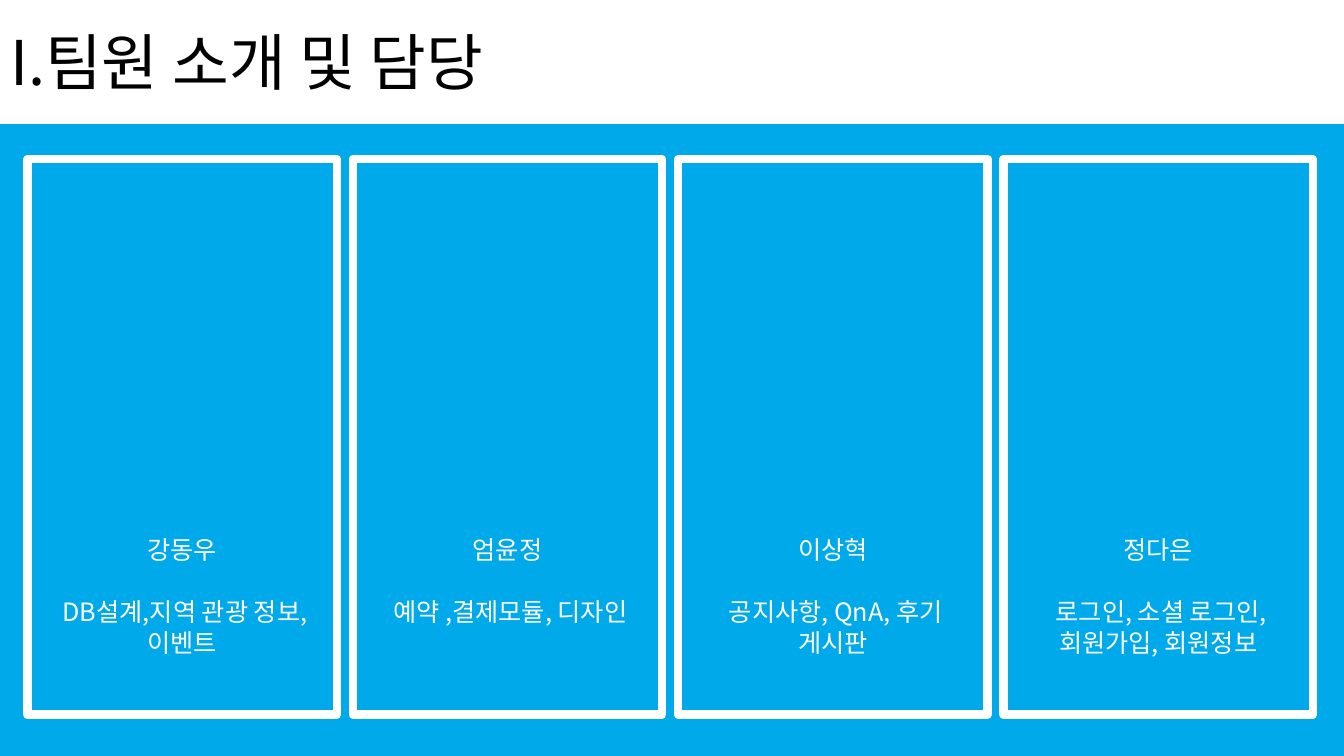
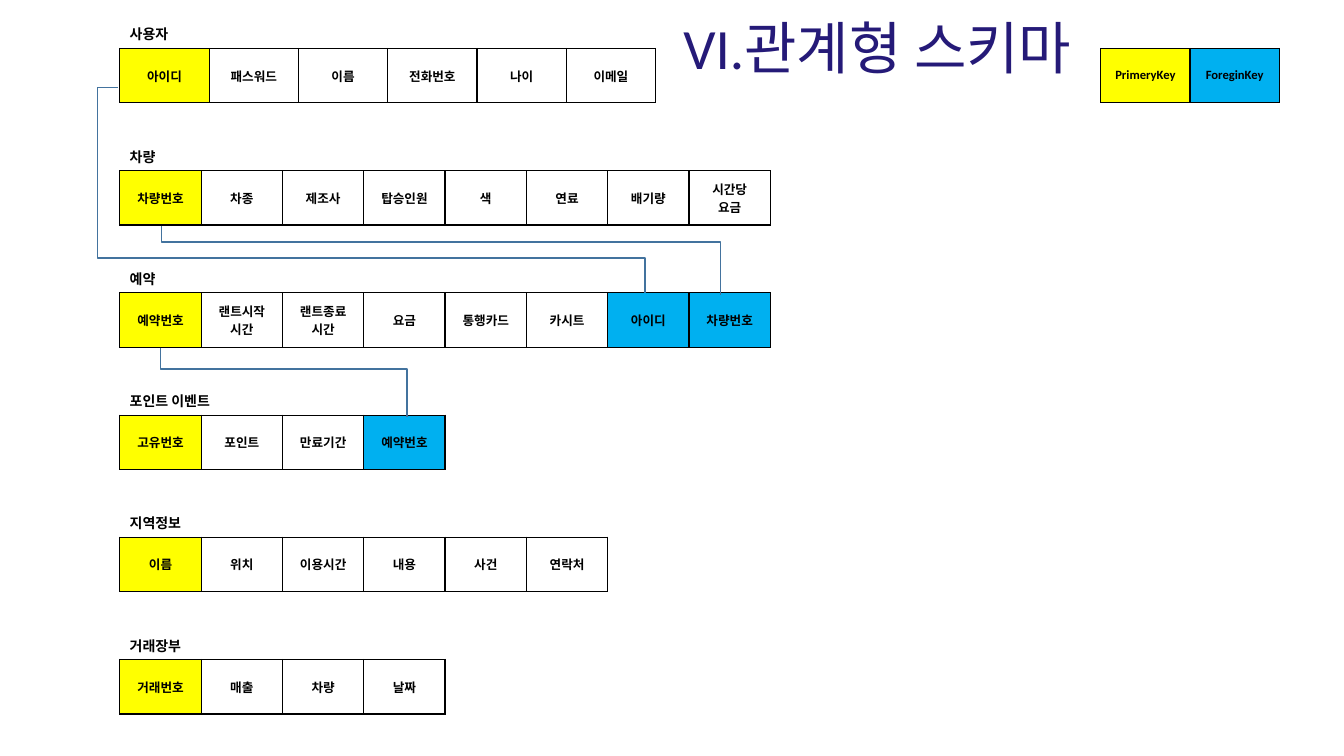
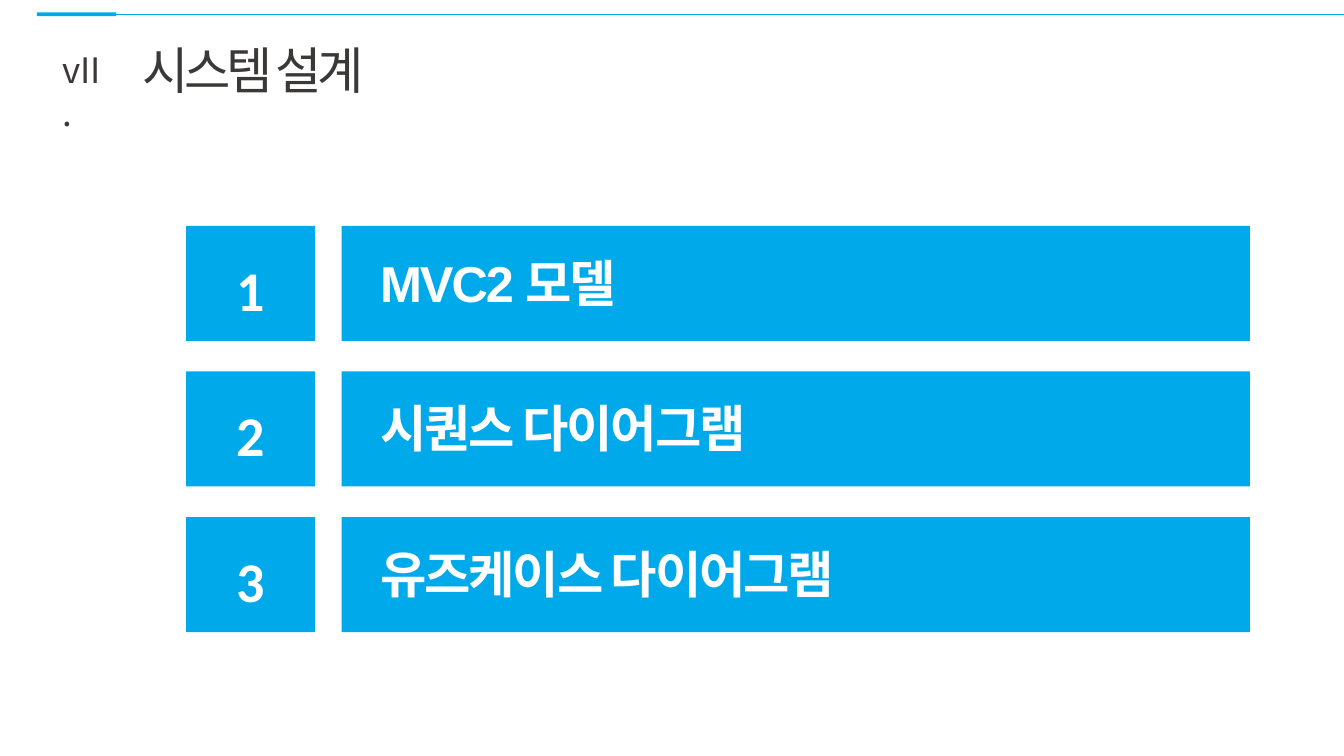
from lxml import etree
from pptx import Presentation
from pptx.dml.color import RGBColor
from pptx.enum import shapes, text
from pptx.oxml import ns
from pptx.util import Cm, Pt

# Shared style
BLUE = RGBColor(0x00, 0xA9, 0xEA)
WHITE = RGBColor(0xFF, 0xFF, 0xFF)
BLACK = RGBColor(0x00, 0x00, 0x00)
PRIMARY = RGBColor(0xFF, 0xFF, 0x00)
FOREIGN = RGBColor(0x00, 0xB0, 0xF0)
LINK = RGBColor(0x43, 0x73, 0x9E)
NAVY = RGBColor(0x25, 0x1A, 0x78)
GRAY = RGBColor(0x3B, 0x38, 0x38)
KOREAN = "Noto Sans CJK KR"
LATIN = "Calibri"
LEFT, CENTER = text.PP_ALIGN.LEFT, text.PP_ALIGN.CENTER
TOP, MIDDLE = text.MSO_ANCHOR.TOP, text.MSO_ANCHOR.MIDDLE

# Content
MEMBERS = [
    ("강동우", " DB설계,지역 관광 정보, 이벤트"),
    ("엄윤정", " 예약 ,결제모듈, 디자인"),
    ("이상혁", " 공지사항, QnA, 후기 게시판"),
    ("정다은", " 로그인, 소셜 로그인, 회원가입, 회원정보"),
]

# Relation name, column width in cm, columns, number of foreign keys at the end
RELATIONS = [
    ("사용자", 2.25, ["아이디", "패스워드", "이름", "전화번호", "나이", "이메일"], 0),
    ("차량", 2.05, ["차량번호", "차종", "제조사", "탑승인원", "색", "연료", "배기량",
                  "시간당\n요금"], 0),
    ("예약", 2.05, ["예약번호", "랜트시작\n시간", "랜트종료\n시간", "요금", "통행카드",
                  "카시트", "아이디", "차량번호"], 2),
    ("포인트 이벤트", 2.05, ["고유번호", "포인트", "만료기간", "예약번호"], 1),
    ("지역정보", 2.05, ["이름", "위치", "이용시간", "내용", "사건", "연락처"], 0),
    ("거래장부", 2.05, ["거래번호", "매출", "차량", "날짜"], 0),
]
LEGEND = ["PrimeryKey", "ForeginKey"]

# Corner points in cm of the lines from primary to foreign keys
KEY_LINKS = [
    [(2.97, 2.21), (2.46, 2.21), (2.46, 6.5), (16.26, 6.5), (16.26, 7.39)],
    [(4.07, 5.69), (4.07, 6.1), (18.16, 6.1), (18.16, 7.44)],
    [(4.04, 8.76), (4.04, 9.3), (10.26, 9.3), (10.26, 10.52)],
]

DESIGN_TOPICS = ["MVC2 모델", "시퀀스 다이어그램", "유즈케이스 다이어그램"]


def add_run(paragraph, words, size, color, font=KOREAN, bold=False, tracking=0):
    run = paragraph.add_run()
    run.text = words
    run.font.size, run.font.bold, run.font.name = Pt(size), bold, font
    run.font.color.rgb = color
    properties = run._r.get_or_add_rPr()
    if tracking:
        properties.set("spc", str(int(tracking * 100)))
    east_asian = etree.Element(ns.qn("a:ea"), typeface=KOREAN)
    properties.find(ns.qn("a:latin")).addnext(east_asian)


def write(frame, lines, size, color, align=LEFT, anchor=TOP, spacing=None,
          gap=0, wrap=True, **style):
    """Fill a text frame with one paragraph per line."""
    frame.word_wrap = wrap
    frame.auto_size = text.MSO_AUTO_SIZE.NONE
    frame.vertical_anchor = anchor
    for index, line in enumerate(lines):
        paragraph = frame.add_paragraph() if index else frame.paragraphs[0]
        paragraph.alignment = align
        paragraph.space_before = Pt(gap if index else 0)
        if spacing:
            paragraph.line_spacing = Pt(spacing)
        add_run(paragraph, line, size, color, **style)


def place(shape, left, top, width, height):
    shape.left, shape.top = Cm(left), Cm(top)
    shape.width, shape.height = Cm(width), Cm(height)


def set_margins(frame, left, top, right, bottom):
    frame.margin_left, frame.margin_top = Cm(left), Cm(top)
    frame.margin_right, frame.margin_bottom = Cm(right), Cm(bottom)


def add_slide(presentation, background, title, box, size, color, **style):
    slide = presentation.slides.add_slide(presentation.slide_layouts[5])
    slide.background.fill.solid()
    slide.background.fill.fore_color.rgb = background
    place(slide.shapes.title, *box)
    write(slide.shapes.title.text_frame, [title], size, color, **style)
    return slide


def add_box(slide, left, top, width, height, fill=None, line=None, weight=0):
    shape = slide.shapes.add_shape(shapes.MSO_SHAPE.RECTANGLE, Cm(left), Cm(top),
                                   Cm(width), Cm(height))
    shape.shadow.inherit = False
    if fill is None:
        shape.fill.background()
    else:
        shape.fill.solid()
        shape.fill.fore_color.rgb = fill
    if line is None:
        shape.line.fill.background()
    else:
        shape.line.color.rgb = line
        shape.line.width = Pt(weight)
    return shape


def add_label(slide, words, left, top, width, height, size, color, **style):
    label = slide.shapes.add_textbox(Cm(left), Cm(top), Cm(width), Cm(height))
    write(label.text_frame, [words], size, color, **style)


def set_borders(cell):
    properties = cell._tc.get_or_add_tcPr()
    for index, side in enumerate(("lnL", "lnR", "lnT", "lnB")):
        border = etree.Element(ns.qn(f"a:{side}"), w=str(Pt(1)))
        fill = etree.SubElement(border, ns.qn("a:solidFill"))
        etree.SubElement(fill, ns.qn("a:srgbClr"), val=str(BLACK))
        properties.insert(index, border)


def add_relation(slide, columns, foreign_count, left, top, column_width):
    count = len(columns)
    table = slide.shapes.add_table(1, count, Cm(left), Cm(top),
                                   Cm(column_width * count), Cm(1.37)).table
    table.first_row = table.horz_banding = False
    for index, name in enumerate(columns):
        table.columns[index].width = Cm(column_width)
        cell = table.cell(0, index)
        cell.fill.solid()
        if index == 0:
            cell.fill.fore_color.rgb = PRIMARY
        else:
            is_foreign = index >= count - foreign_count
            cell.fill.fore_color.rgb = FOREIGN if is_foreign else WHITE
        cell.vertical_anchor = MIDDLE
        for number, line in enumerate(name.split("\n")):
            frame = cell.text_frame
            paragraph = frame.add_paragraph() if number else frame.paragraphs[0]
            paragraph.alignment = CENTER
            add_run(paragraph, line, 9, BLACK, font=LATIN, bold=True)
        set_borders(cell)


def build_team(presentation):
    slide = add_slide(presentation, BLUE, "I.팀원 소개 및 담당", (0, 0, 33.87, 3.12),
                      44, BLACK, anchor=MIDDLE, spacing=52)
    title = slide.shapes.title
    title.fill.solid()
    title.fill.fore_color.rgb = WHITE

    # One card per member
    for index, member in enumerate(MEMBERS):
        card = add_box(slide, 0.69 + 8.2 * index, 4.01, 7.8, 14, line=WHITE, weight=6)
        set_margins(card.text_frame, 0.5, 9.45, 0.5, 0.13)
        write(card.text_frame, member, 18, WHITE, align=CENTER, spacing=22, gap=22)


def build_schema(presentation):
    slide = add_slide(presentation, WHITE, "VI.관계형 스키마", (11.3, 0.23, 21.62, 1.88),
                      40.7, NAVY, align=CENTER, anchor=MIDDLE, font=LATIN)
    # Relations, evenly spaced, each under its name
    first_top, pitch, left = 1.22, 3.08, 3.02
    for index, (name, column_width, columns, foreign_count) in enumerate(RELATIONS):
        top = first_top + pitch * index
        add_label(slide, name, left, top - 0.69, 3.84, 0.69, 10, BLACK,
                  font=LATIN, bold=True)
        add_relation(slide, columns, foreign_count, left, top, column_width)
    add_relation(slide, LEGEND, 1, 27.74, first_top, 2.25)

    # Key links
    for points in KEY_LINKS:
        corners = [(Cm(x), Cm(y)) for x, y in points]
        builder = slide.shapes.build_freeform(*corners[0])
        builder.add_line_segments(corners[1:], close=False)
        link = builder.convert_to_shape()
        link.shadow.inherit = False
        link.fill.background()
        link.line.color.rgb = LINK
        link.line.width = Pt(1)


def build_design(presentation):
    slide = add_slide(presentation, WHITE, "시스템 설계", (3.33, 0.84, 6.73, 1.8),
                      36, GRAY, spacing=44, wrap=False, tracking=-3)
    add_label(slide, "vII.", 1.32, 1.09, 1.6, 1.32, 25, GRAY, spacing=30.5)

    # Header rule
    accent = add_box(slide, 0.93, 0.31, 2, 0.1, fill=BLUE)
    rule = slide.shapes.add_connector(shapes.MSO_CONNECTOR.STRAIGHT, Cm(2.93), Cm(0.36),
                                      Cm(33.87), Cm(0.36))
    rule.begin_connect(accent, 3)
    rule.line.color.rgb = BLUE
    rule.line.width = Pt(0.5)
    etree.SubElement(rule._element.spPr, ns.qn("a:effectLst"))

    # Numbered topics
    for index, topic in enumerate(DESIGN_TOPICS):
        top = 5.69 + 3.67 * index
        number = add_box(slide, 4.69, top, 3.25, 2.9, fill=BLUE)
        set_margins(number.text_frame, 0.25, 0.4, 0.25, 0.13)
        write(number.text_frame, [str(index + 1)], 40, WHITE, align=CENTER,
              anchor=MIDDLE, font=LATIN, bold=True)
        bar = add_box(slide, 8.61, top, 22.89, 2.9, fill=BLUE)
        set_margins(bar.text_frame, 0.97, 0.63, 0.25, 0.13)
        write(bar.text_frame, [topic], 36, WHITE, spacing=44, font="Arial",
              bold=True, tracking=-1.5)


def main():
    presentation = Presentation()
    presentation.slide_width, presentation.slide_height = Cm(33.87), Cm(19.05)
    build_team(presentation)
    build_schema(presentation)
    build_design(presentation)
    presentation.save("out.pptx")


if __name__ == "__main__":
    main()
